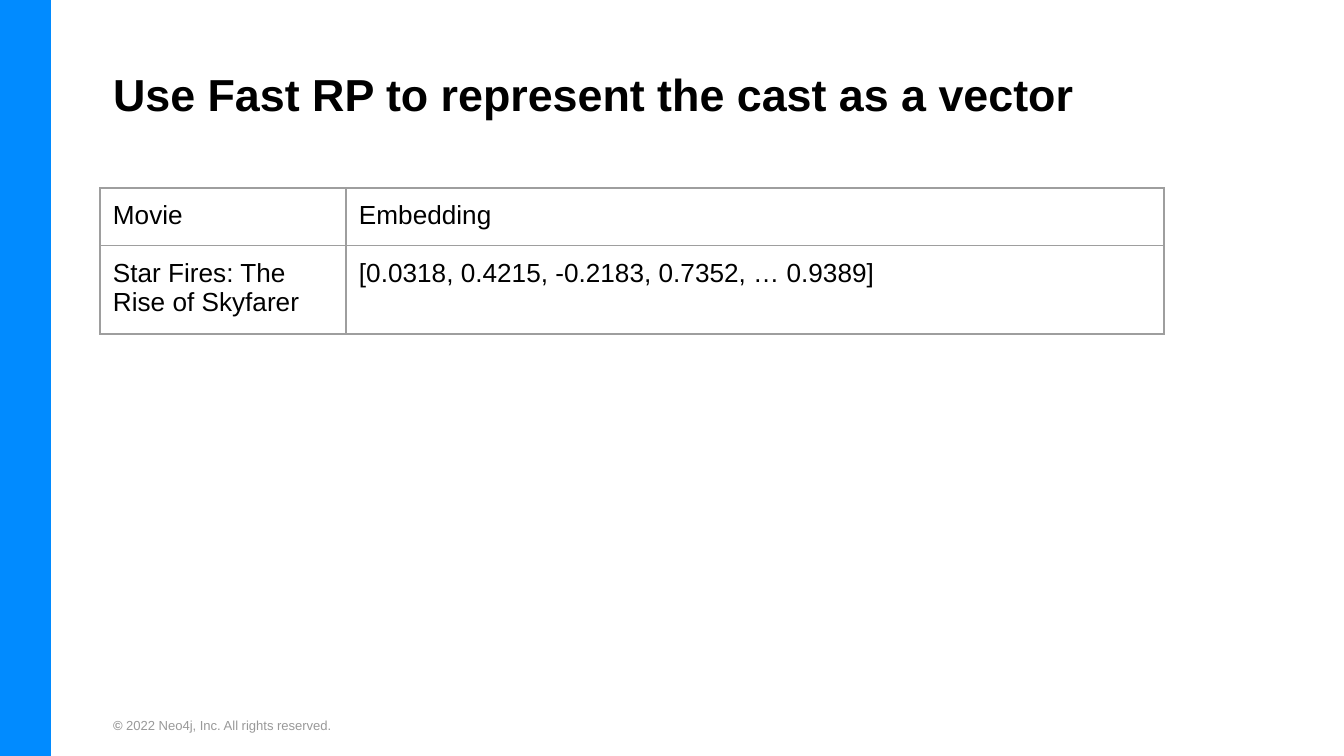
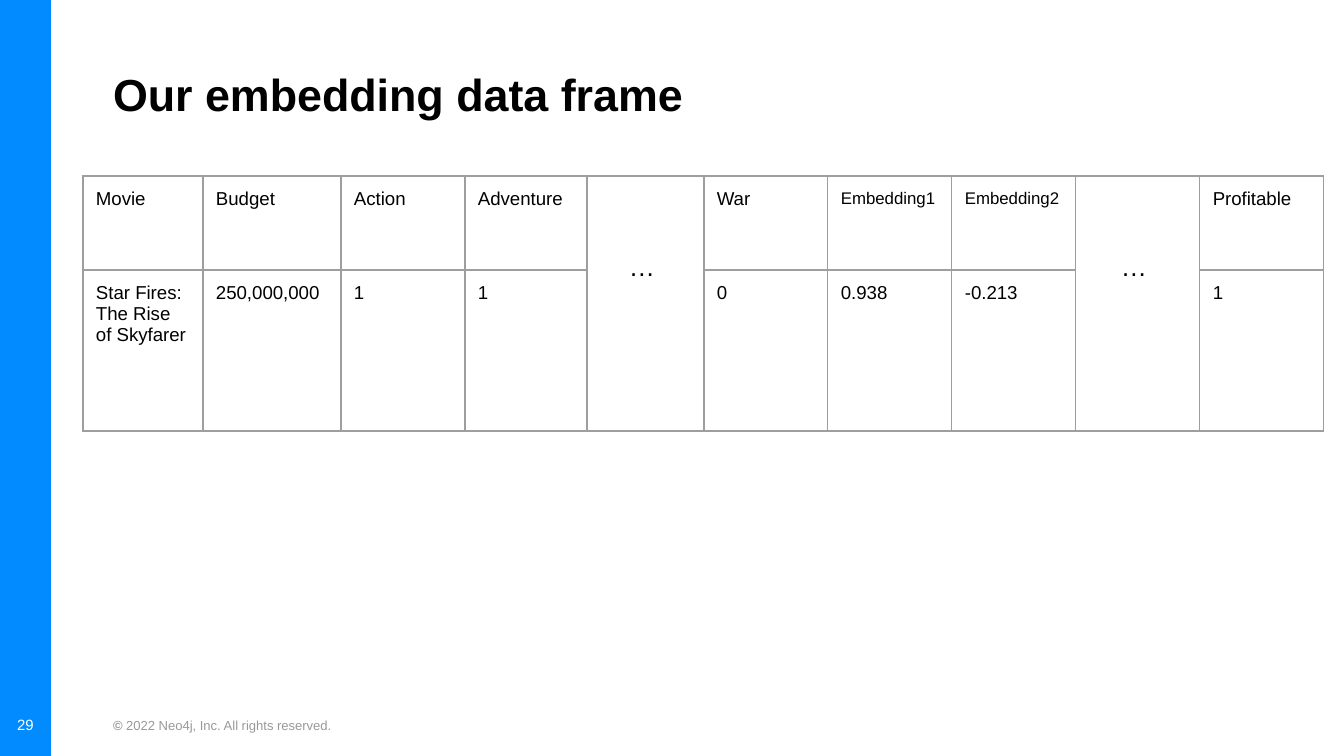
import pptx
import pptx.util
import pptx.dml.color
import pptx.enum.shapes
import pptx.enum.text
import pptx.oxml
import pptx.oxml.ns

# Shared look
PX = 914400 / 134.4
WIDTH, HEIGHT = 1344, 756
BAND_WIDTH = 51
INSET = 13
FONT = "Arial"
BLUE, BLACK, WHITE, GREY, RULE = "018BFF", "000000", "FFFFFF", "999999", "9E9E9E"
ALIGN = pptx.enum.text.PP_ALIGN
ANCHOR = pptx.enum.text.MSO_ANCHOR
MOVIE = "Star Fires: The Rise of Skyfarer"
ELLIPSIS = "…"


def emu(px):
    return pptx.util.Emu(round(px * PX))


def color(hex_code):
    return pptx.dml.color.RGBColor.from_string(hex_code)


def write(frame, text, size=14, hex_code=BLACK, bold=False, align=ALIGN.LEFT,
          anchor=ANCHOR.TOP, inset=INSET, bold_lead=""):
    """Fill a text frame or cell frame with one formatted paragraph."""
    frame.word_wrap = True
    frame.vertical_anchor = anchor
    frame.margin_left = frame.margin_right = emu(inset)
    frame.margin_top = frame.margin_bottom = emu(inset)
    paragraph = frame.paragraphs[0]
    paragraph.alignment = align
    for part, is_bold in ((bold_lead, True), (text, bold)):
        if part:
            run = paragraph.add_run()
            run.text = part
            run.font.name = FONT
            run.font.size = pptx.util.Pt(size)
            run.font.bold = is_bold
            run.font.color.rgb = color(hex_code)


def add_text(slide, box, text, **style):
    label = slide.shapes.add_textbox(*map(emu, box))
    write(label.text_frame, text, **style)


def add_page(deck, heading, number=None):
    """Add a slide with its side band, title, footer and optional number."""
    slide = deck.slides.add_slide(deck.slide_layouts[5])

    # Side band
    band = slide.shapes.add_shape(pptx.enum.shapes.MSO_SHAPE.RECTANGLE,
                                  0, 0, emu(BAND_WIDTH), emu(HEIGHT))
    band.shadow.inherit = False
    band.fill.solid()
    band.fill.fore_color.rgb = color(BLUE)
    band.line.fill.background()

    # Title
    title = slide.shapes.title
    title.left, title.top, title.width, title.height = map(emu, (100, 54, 1183, 85))
    title.text_frame.auto_size = pptx.enum.text.MSO_AUTO_SIZE.NONE
    write(title.text_frame, heading, size=24, bold=True)

    # Footer and page number
    add_text(slide, (100, 702, 1107, 46), "2022 Neo4j, Inc. All rights reserved.",
             size=7, hex_code=GREY, anchor=ANCHOR.MIDDLE, bold_lead="© ")
    if number:
        add_text(slide, (0, 696, BAND_WIDTH, 58), number, size=8, hex_code=WHITE,
                 align=ALIGN.CENTER, anchor=ANCHOR.MIDDLE, inset=0)
    return slide


def set_borders(cell, hidden=""):
    """Rule the four sides of a cell, leaving out the hidden ones."""
    properties = cell._tc.get_or_add_tcPr()
    for position, side in enumerate("LRTB"):
        paint = ("<a:noFill/>" if side in hidden else
                 f'<a:solidFill><a:srgbClr val="{RULE}"/></a:solidFill>')
        properties.insert(position, pptx.oxml.parse_xml(
            f'<a:ln{side} {pptx.oxml.ns.nsdecls("a")} w="9525">{paint}</a:ln{side}>'))


def add_grid(slide, left, top, widths, heights, rows, size, sizes=None):
    """Add a ruled table; None marks a cell open towards its column mate."""
    sizes = sizes or {}
    grid = slide.shapes.add_table(len(rows), len(widths), emu(left), emu(top),
                                  emu(sum(widths)), emu(sum(heights))).table
    grid.first_row = grid.horz_banding = False
    for column, width in zip(grid.columns, widths):
        column.width = emu(width)
    for r, (height, texts) in enumerate(zip(heights, rows)):
        grid.rows[r].height = emu(height)
        for c, text in enumerate(texts):
            cell = grid.cell(r, c)
            cell.fill.background()
            cell.margin_left = cell.margin_right = emu(INSET)
            cell.margin_top = cell.margin_bottom = emu(INSET)
            if text is None:
                set_borders(cell, hidden="B" if r == 0 else "T")
            else:
                set_borders(cell)
                write_cell(cell, text, sizes.get(text, size))


def write_cell(cell, text, size):
    run = cell.text_frame.paragraphs[0].add_run()
    run.text = text
    run.font.name = FONT
    run.font.size = pptx.util.Pt(size)
    run.font.color.rgb = color(BLACK)


def build_vector_slide(deck):
    slide = add_page(deck, "Use Fast RP to represent the cast as a vector")
    add_grid(slide, 100, 188, [246, 818], [56, 56],
             [["Movie", "Embedding"],
              [MOVIE, "[0.0318, 0.4215, -0.2183, 0.7352, … 0.9389]"]], size=14)


def build_frame_slide(deck):
    slide = add_page(deck, "Our embedding data frame", number="29")
    add_grid(slide, 83, 176, [120, 138, 124, 122, 117] + [124] * 5, [94, 161],
             [["Movie", "Budget", "Action", "Adventure", None, "War",
               "Embedding1", "Embedding2", None, "Profitable"],
              [MOVIE, "250,000,000", "1", "1", None, "0",
               "0.938", "-0.213", None, "1"]],
             size=10, sizes={"Embedding1": 9, "Embedding2": 9})

    # Marks for the columns left out
    for left in (616, 1108):
        add_text(slide, (left, 237, 114, 59), ELLIPSIS)


def main():
    deck = pptx.Presentation()
    deck.slide_width, deck.slide_height = emu(WIDTH), emu(HEIGHT)
    build_vector_slide(deck)
    build_frame_slide(deck)
    deck.save("out.pptx")


if __name__ == "__main__":
    main()
